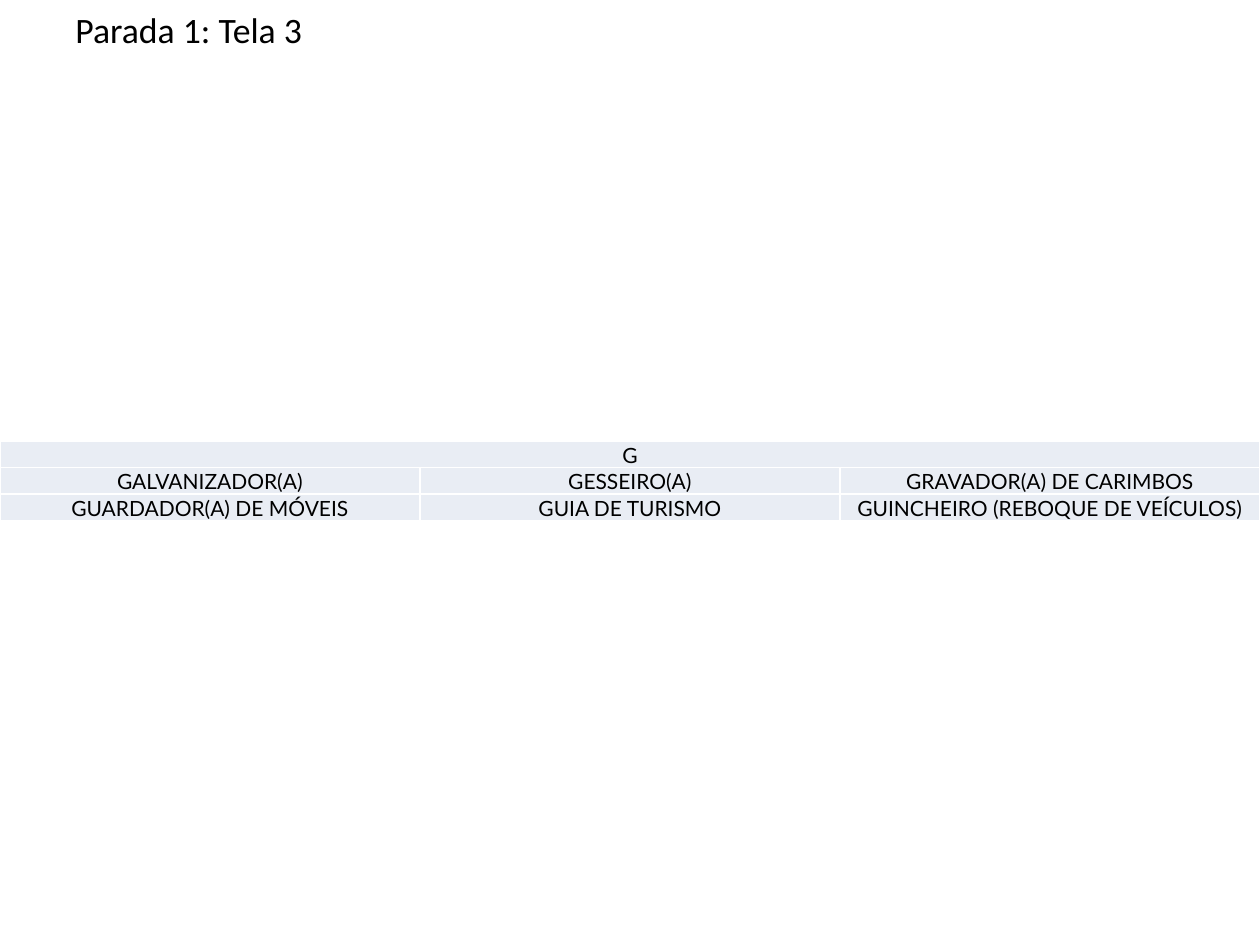
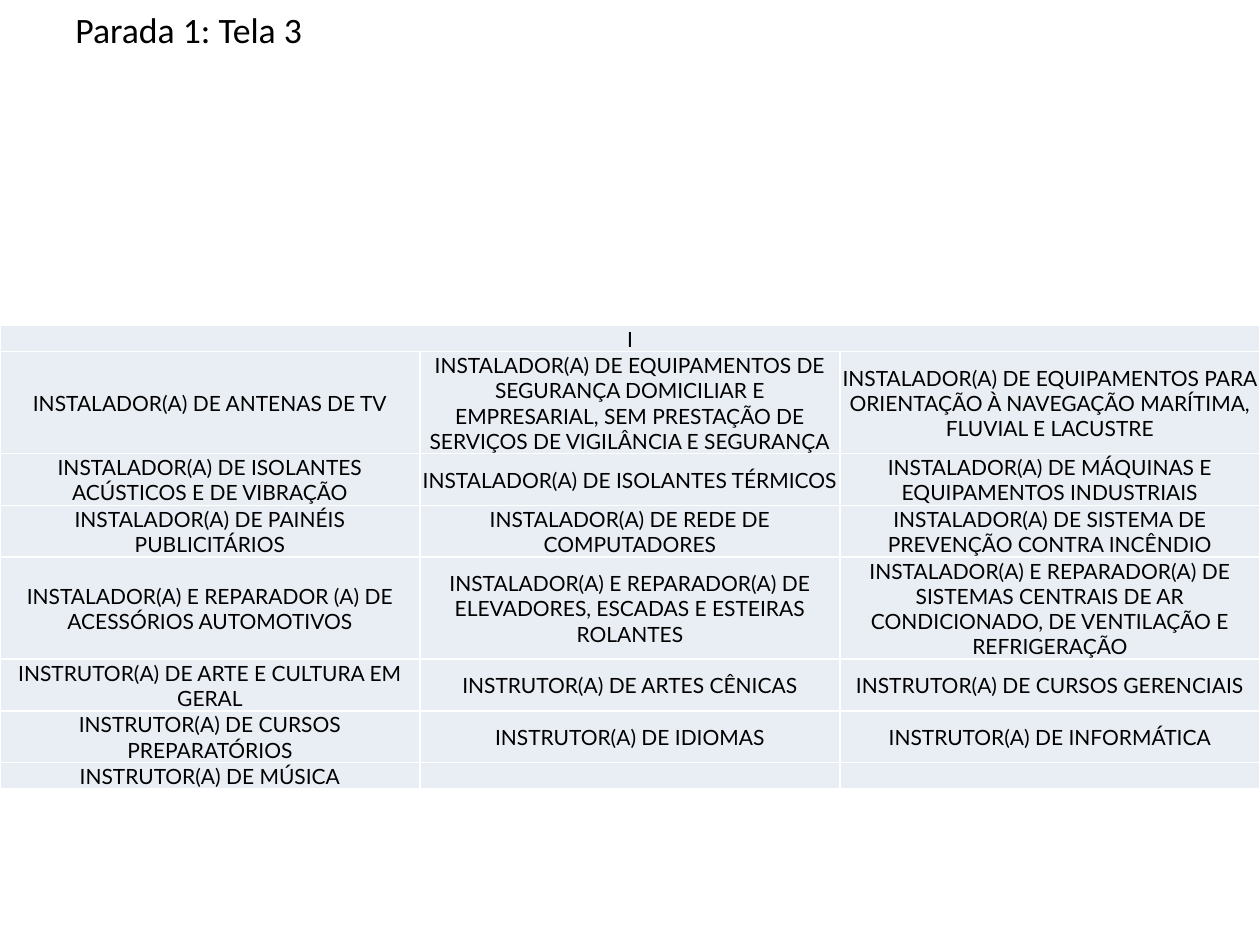
from dataclasses import dataclass
from lxml import etree
from pptx import Presentation
from pptx import util as u
from pptx.dml.color import RGBColor
from pptx.enum import text
from pptx.oxml import ns

# Content: each slide has a letter, rows of trades, and its table's layout
TITLE = "Parada 1: Tela 3"
SLIDES = [
    dict(letter="G", top=3.5, height=0.62, lines=[1, 1, 1], trades=[
        ("GALVANIZADOR(A)", "GESSEIRO(A)", "GRAVADOR(A) DE CARIMBOS"),
        ("GUARDADOR(A) DE MÓVEIS", "GUIA DE TURISMO",
         "GUINCHEIRO (REBOQUE DE VEÍCULOS)"),
    ]),
    dict(letter="I", top=2.58, height=3.25, lines=[1, 3, 2, 2, 2.75, 1, 1, 1], trades=[
        ("INSTALADOR(A) DE ANTENAS DE TV",
         "INSTALADOR(A) DE EQUIPAMENTOS DE SEGURANÇA DOMICILIAR E EMPRESARIAL, "
         "SEM PRESTAÇÃO DE SERVIÇOS DE VIGILÂNCIA E SEGURANÇA",
         "INSTALADOR(A) DE EQUIPAMENTOS PARA ORIENTAÇÃO À NAVEGAÇÃO MARÍTIMA, "
         "FLUVIAL E LACUSTRE"),
        ("INSTALADOR(A) DE ISOLANTES ACÚSTICOS E DE VIBRAÇÃO",
         "INSTALADOR(A) DE ISOLANTES TÉRMICOS",
         "INSTALADOR(A) DE MÁQUINAS E EQUIPAMENTOS INDUSTRIAIS"),
        ("INSTALADOR(A) DE PAINÉIS PUBLICITÁRIOS",
         "INSTALADOR(A) DE REDE DE COMPUTADORES",
         "INSTALADOR(A) DE SISTEMA DE PREVENÇÃO CONTRA INCÊNDIO"),
        ("INSTALADOR(A) E REPARADOR (A) DE ACESSÓRIOS AUTOMOTIVOS",
         "INSTALADOR(A) E REPARADOR(A) DE ELEVADORES, ESCADAS E ESTEIRAS ROLANTES",
         "INSTALADOR(A) E REPARADOR(A) DE SISTEMAS CENTRAIS DE AR CONDICIONADO, "
         "DE VENTILAÇÃO E REFRIGERAÇÃO"),
        ("INSTRUTOR(A) DE ARTE E CULTURA EM GERAL", "INSTRUTOR(A) DE ARTES CÊNICAS",
         "INSTRUTOR(A) DE CURSOS GERENCIAIS"),
        ("INSTRUTOR(A) DE CURSOS PREPARATÓRIOS", "INSTRUTOR(A) DE IDIOMAS",
         "INSTRUTOR(A) DE INFORMÁTICA"),
        ("INSTRUTOR(A) DE MÚSICA", "", ""),
    ]),
]


@dataclass(frozen=True)
class Theme:
    ink: str = "000000"
    paper: str = "FFFFFF"
    cell: str = "E9EDF4"
    title_font: str = "Calibri"
    title_size: float = 20.4
    cell_font: str = "Lato"
    cell_size: float = 12
    border: float = 1


T = Theme()
W, H = u.Inches(10), u.Inches(7.5)
COLS = 3
LINE = 0.17  # minimum height of one text line in a row


def write(tf, words, font, size, color=T.ink, align=text.PP_ALIGN.LEFT):
    tf.word_wrap = True
    p = tf.paragraphs[0]
    p.alignment = align
    if not words:  # keeps an empty cell as low as a written one
        p._p.get_or_add_endParaRPr().set("sz", str(int(size * 100)))
        return
    r = p.add_run()
    r.text = words
    r.font.name, r.font.size = font, u.Pt(size)
    r.font.color.rgb = RGBColor.from_string(color)


def add_borders(cell):
    tcPr = cell._tc.get_or_add_tcPr()
    for i, side in enumerate(("lnL", "lnR", "lnT", "lnB")):
        ln = etree.Element(ns.qn("a:" + side), w=str(u.Pt(T.border)))
        fill = etree.SubElement(ln, ns.qn("a:solidFill"))
        etree.SubElement(fill, ns.qn("a:srgbClr"), val=T.paper)
        tcPr.insert(i, ln)


def style_cell(cell, words):
    cell.margin_left = cell.margin_right = cell.margin_top = u.Inches(0.01)
    cell.margin_bottom = 0
    cell.vertical_anchor = text.MSO_ANCHOR.MIDDLE
    cell.fill.solid()
    cell.fill.fore_color.rgb = RGBColor.from_string(T.cell)
    add_borders(cell)
    write(cell.text_frame, words, T.cell_font, T.cell_size,
          align=text.PP_ALIGN.CENTER)


def add_title(s):
    margin = int(W * 0.05)
    sp = s.shapes.add_textbox(margin, u.Inches(0.01), W - 2 * margin, u.Inches(0.38))
    write(sp.text_frame, TITLE, T.title_font, T.title_size)


def add_trades(s, letter, top, height, lines, trades):
    rows = [(letter,) + ("",) * (COLS - 1)] + trades
    frame = s.shapes.add_table(len(rows), COLS, 0, u.Inches(top), W, u.Inches(height))
    table = frame.table
    for col in table.columns:
        col.width = W // COLS
    for row, n, words in zip(table.rows, lines, rows):
        row.height = u.Inches(LINE * n)
        for cell, word in zip(row.cells, words):
            style_cell(cell, word)
    table.cell(0, 0).merge(table.cell(0, COLS - 1))
    frame.height = u.Inches(height)


# Build the slides
prs = Presentation()
prs.slide_width, prs.slide_height = W, H
for content in SLIDES:
    s = prs.slides.add_slide(prs.slide_layouts[6])
    s.background.fill.solid()
    s.background.fill.fore_color.rgb = RGBColor.from_string(T.paper)
    add_title(s)
    add_trades(s, **content)
prs.save("out.pptx")
